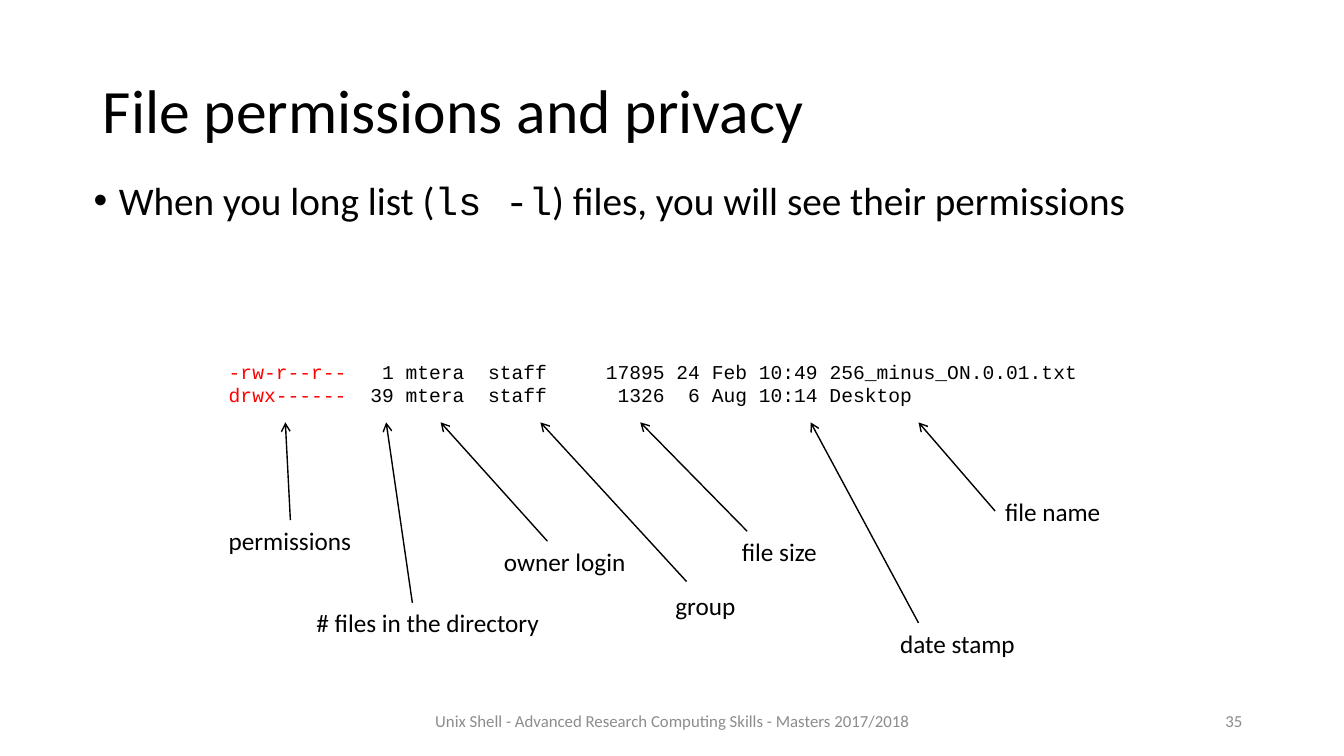
import pptx
import pptx.util
import pptx.dml.color
import pptx.enum.shapes
import pptx.enum.text
import pptx.oxml
import pptx.oxml.ns

PX = 9144
SANS, MONO = "Calibri", "Courier New"
BLACK, RED, GRAY = "000000", "FF0000", "8C8C8C"
ALIGN = pptx.enum.text.PP_ALIGN
ANCHOR = pptx.enum.text.MSO_ANCHOR
FIT = pptx.enum.text.MSO_AUTO_SIZE

LISTING = [
    [("-rw-r--r--   ", MONO, RED),
     ("1 mtera  staff     17895 24 Feb 10:49 256_minus_ON.0.01.txt", MONO, BLACK)],
    [("drwx------  ", MONO, RED),
     ("39 mtera  staff      1326  6 Aug 10:14 Desktop", MONO, BLACK)],
]
LABELS = [
    ("permissions", (0, 164, 143), False, (71, 164), 66),
    ("# files in the directory", (87, 246, 328), True, (192, 246), 166),
    ("owner login", (273, 185, 142), False, (326, 185), 220),
    ("group", (443, 229, 81), False, (464, 225), 319),
    ("file size", (509, 175, 96), False, (524, 175), 418),
    ("date stamp", (666, 266, 136), False, (694, 266), 587),
    ("file name", (770, 135, 116), False, (770, 155), 694),
]


def px(*lengths):
    """Turn px lengths into EMU."""
    return [pptx.util.Emu(length * PX) for length in lengths]


def paint(color, code):
    """Set a color format from a hex string."""
    color.rgb = pptx.dml.color.RGBColor.from_string(code)


def apply(target, values):
    """Set each attribute of a dict on the target."""
    for name, value in values.items():
        setattr(target, name, value)


def element(parent, tag, **attrs):
    """Append a drawing element with attributes to a parent."""
    node = pptx.oxml.parse_xml(f"<a:{tag} {pptx.oxml.ns.nsdecls('a')}/>")
    for name, value in attrs.items():
        node.set(name, value)
    parent.append(node)


def write(shape, lines, size, frame=None, para=None):
    """Fill a shape with lines of (text, font, color) runs."""
    text = shape.text_frame
    apply(text, {"word_wrap": True, "auto_size": FIT.NONE, **(frame or {})})
    for index, runs in enumerate(lines):
        line = text.add_paragraph() if index else text.paragraphs[0]
        apply(line, para or {})
        for words, font, code in runs:
            run = line.add_run()
            run.text = words
            apply(run.font, {"name": font, "size": pptx.util.Pt(size)})
            paint(run.font.color, code)


def head(slide, box):
    """Place the title."""
    title = slide.shapes.title
    apply(title, dict(zip(("left", "top", "width", "height"), px(*box))))
    write(title, [[("File permissions and privacy", SANS, BLACK)]], 44,
          {"vertical_anchor": ANCHOR.MIDDLE},
          {"alignment": ALIGN.LEFT, "line_spacing": 0.9})


def body(slide, box):
    """Place the bullet line."""
    shape = slide.shapes.add_textbox(*px(*box))
    runs = [("When you long list (", SANS, BLACK), ("ls -l", MONO, BLACK),
            (") files, you will see their permissions", SANS, BLACK)]
    write(shape, [runs], 28,
          para={"line_spacing": 0.9, "space_before": pptx.util.Pt(10)})
    props = shape.text_frame.paragraphs[0]._p.get_or_add_pPr()
    indent = 25 * PX
    props.set("marL", str(indent))
    props.set("indent", str(-indent))
    element(props, "buFont", typeface="Arial")
    element(props, "buChar", char="•")


def foot(slide, box):
    """Place the footer and the slide number on one row."""
    left, top, width, height = box
    parts = [
        ("Unix Shell - Advanced Research Computing Skills - Masters 2017/2018",
         left, 550, ALIGN.CENTER),
        ("35", left + width - 300, 300, ALIGN.RIGHT),
    ]
    for words, start, wide, align in parts:
        shape = slide.shapes.add_textbox(*px(start, top, wide, height))
        write(shape, [[(words, SANS, GRAY)]], 12,
              {"vertical_anchor": ANCHOR.MIDDLE}, {"alignment": align})


def arrow(shapes, start, end):
    """Draw a thin arrow from start to end."""
    kind = pptx.enum.shapes.MSO_CONNECTOR.STRAIGHT
    link = shapes.add_connector(kind, *px(*start, *end))
    link.line.width = pptx.util.Pt(1)
    paint(link.line.color, BLACK)
    element(link.line._get_or_add_ln(), "tailEnd", type="arrow")
    element(link._element.spPr, "effectLst")


def chart(slide, box):
    """Place the file listing with a label and an arrow per column."""
    left, top, width, height = box
    shapes = slide.shapes.add_group_shape().shapes
    grow = {"auto_size": FIT.SHAPE_TO_FIT_TEXT}
    write(shapes.add_textbox(*px(*box)), LISTING, 14,
          {**grow, "word_wrap": False})
    for words, (x, y, wide), wrap, start, tip in LABELS:
        label = shapes.add_textbox(*px(left + x, top + y, wide, 40))
        write(label, [[(words, SANS, BLACK)]], 18, {**grow, "word_wrap": wrap})
        arrow(shapes, (left + start[0], top + start[1]),
              (left + tip, top + height - 14))


def main():
    """Build and save the slide."""
    deck = pptx.Presentation()
    deck.slide_width, deck.slide_height = px(1333, 750)
    slide = deck.slides.add_slide(deck.slide_layouts.get_by_name("Title Only"))
    head(slide, (92, 40, 1150, 145))
    body(slide, (83, 175, 1176, 136))
    foot(slide, (392, 695, 850, 40))
    chart(slide, (217, 352, 869, 81))
    deck.save("out.pptx")


if __name__ == "__main__":
    main()
